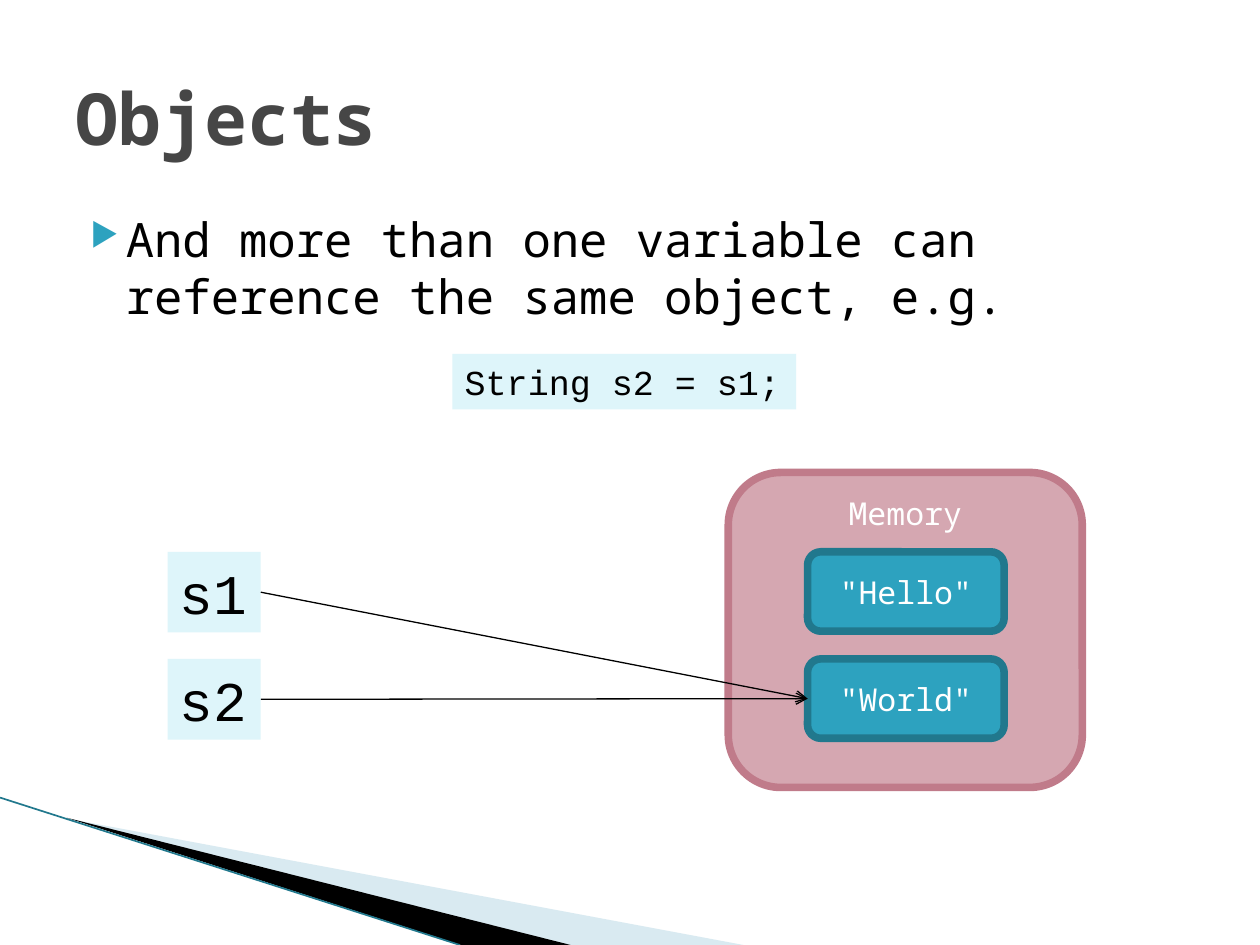
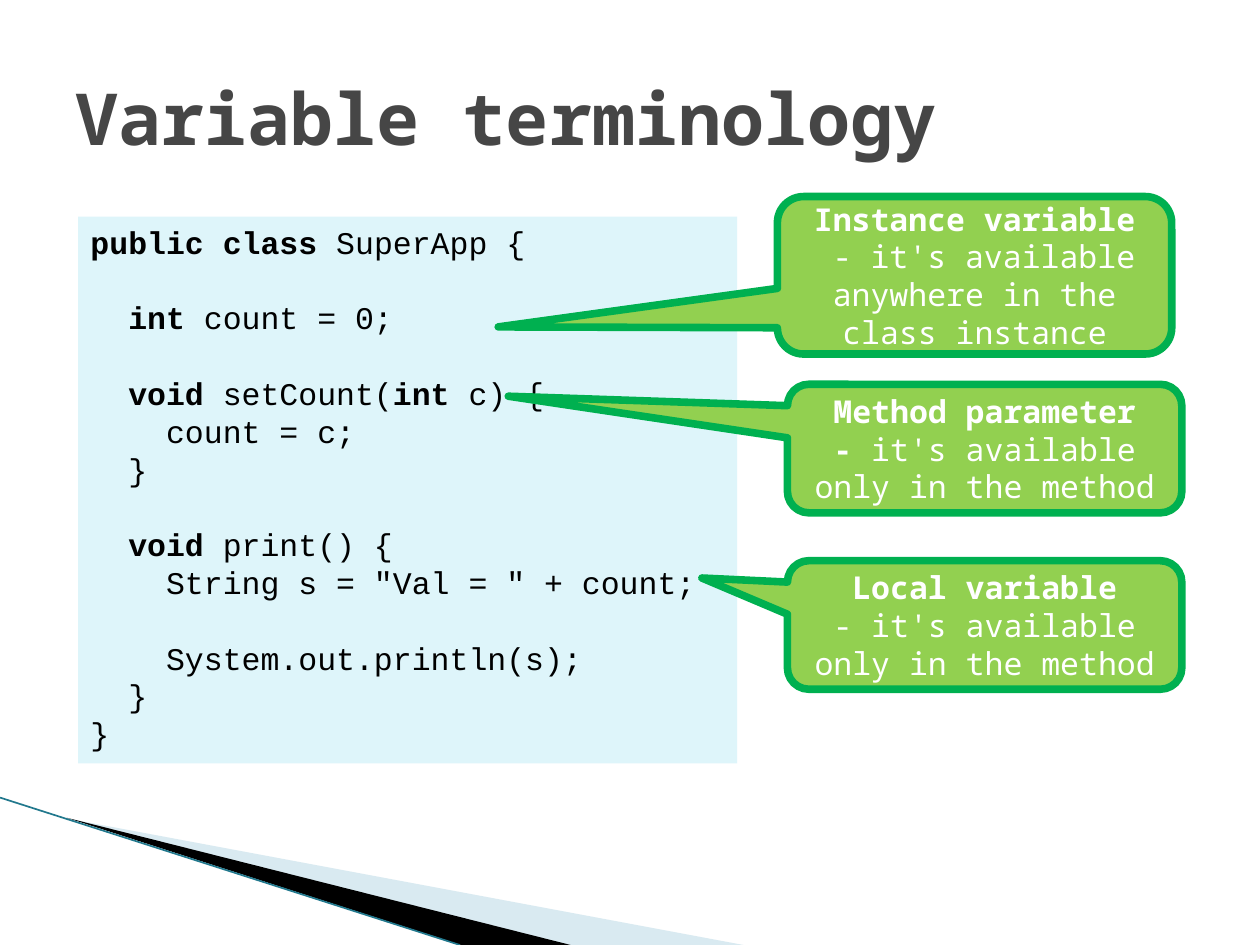
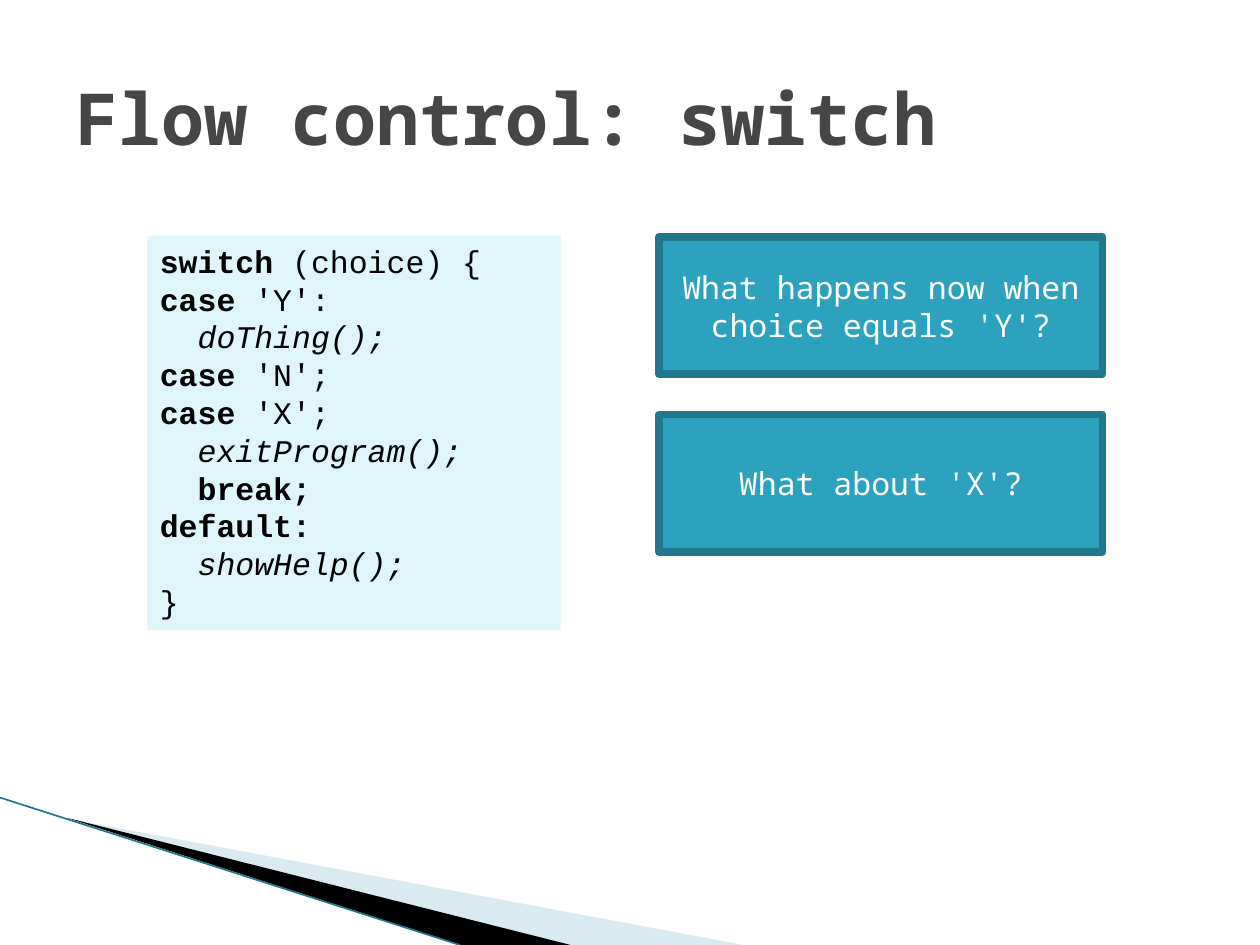
import pptx
import pptx.dml.color
import pptx.enum.shapes
import pptx.enum.text
import pptx.oxml
import pptx.oxml.ns
import pptx.util
from pptx.util import Inches

SHAPES = pptx.enum.shapes.MSO_SHAPE
ANCHOR = pptx.enum.text.MSO_ANCHOR
ALIGN = pptx.enum.text.PP_ALIGN
AUTO_SIZE = pptx.enum.text.MSO_AUTO_SIZE

CODE_FONT = "Courier New"
TEXT_FONT = "Noto Sans Mono"
BLACK = "000000"
WHITE = "FFFFFF"
TITLE_GRAY = "464646"
TEAL = "2DA2BF"
DARK_TEAL = "21788D"
CODE_BLUE = "DEF5FA"
BAND_BLUE = "A0CBDC"
PINK = "D5A7B1"
DARK_PINK = "C07B8A"
LIME = "92D050"
GREEN = "00B050"
BORDER = 4.33

SUPER_APP = """*public class *SuperApp {

  *int* count = 0;

  *void *setCount(*int* c) {
    count = c;
  }

  *void* print() {
    String s = "Val = " + count;
    
    System.out.println(s);
  }
}"""

SWITCH = """*switch *(choice) {
*case* 'Y':
  ~doThing();~
*case* 'N';
*case *'X';
  ~exitProgram();~
  *break;*
*default:*
  ~showHelp();~
}"""


def rgb(value):
    return pptx.dml.color.RGBColor.from_string(value)


def add_xml(parent, tag, **attributes):
    child = parent.makeelement(pptx.oxml.ns.qn(tag), attributes)
    parent.append(child)
    return child


def style_font(paragraph, name, size, color, bold=None):
    font = paragraph.font
    font.name = name
    font.size = pptx.util.Pt(size)
    font.color.rgb = rgb(color)
    font.bold = bold


def add_marked_runs(paragraph, marked):
    """Asterisks enclose bold text, tildes enclose italic text."""
    for bold_index, bold_part in enumerate(marked.split("*")):
        for italic_index, part in enumerate(bold_part.split("~")):
            for line_index, line in enumerate(part.split("\n")):
                if line_index:
                    paragraph.add_line_break()
                if line:
                    run = paragraph.add_run()
                    run.text = line
                    if bold_index % 2:
                        run.font.bold = True
                    if italic_index % 2:
                        run.font.italic = True


def style_shape(shape, fill, border=None):
    shape.shadow.inherit = False
    shape.fill.solid()
    shape.fill.fore_color.rgb = rgb(fill)
    if border:
        shape.line.color.rgb = rgb(border)
        shape.line.width = pptx.util.Pt(BORDER)
    else:
        shape.line.fill.background()


def add_block(slide, preset, box, fill, border=None):
    block = slide.shapes.add_shape(preset, *map(Inches, box))
    style_shape(block, fill, border)
    return block


def add_label(slide, preset, box, marked, fill=TEAL, border=DARK_TEAL, anchor=ANCHOR.MIDDLE):
    label = add_block(slide, preset, box, fill, border)
    label.text_frame.vertical_anchor = anchor
    paragraph = label.text_frame.paragraphs[0]
    add_marked_runs(paragraph, marked)
    paragraph.alignment = ALIGN.CENTER
    style_font(paragraph, TEXT_FONT, 18, WHITE)
    return label


def add_callout(slide, box, marked, tip):
    callout = add_label(slide, SHAPES.ROUNDED_RECTANGULAR_CALLOUT, box, marked, LIME, GREEN)
    callout.adjustments[0], callout.adjustments[1] = tip


def add_code(slide, box, code, size=18, wrap=True):
    panel = add_block(slide, SHAPES.RECTANGLE, box, CODE_BLUE)
    frame = panel.text_frame
    frame.word_wrap = wrap
    frame.auto_size = AUTO_SIZE.SHAPE_TO_FIT_TEXT
    frame.vertical_anchor = ANCHOR.TOP
    for index, line in enumerate(code.split("\n")):
        paragraph = frame.add_paragraph() if index else frame.paragraphs[0]
        add_marked_runs(paragraph, line)
        paragraph.alignment = ALIGN.LEFT
        style_font(paragraph, CODE_FONT, size, BLACK)
    return panel


def add_bullet(slide, box, text):
    frame = slide.shapes.add_textbox(*map(Inches, box)).text_frame
    frame.word_wrap = True
    paragraph = frame.paragraphs[0]
    paragraph.text = text
    properties = paragraph._p.get_or_add_pPr()
    properties.set("marL", str(Inches(0.4)))
    properties.set("indent", str(Inches(-0.28)))
    bullet_color = add_xml(properties, "a:buClr")
    add_xml(bullet_color, "a:srgbClr", val=TEAL)
    add_xml(properties, "a:buSzPct", val="68000")
    add_xml(properties, "a:buChar", char="▶")
    style_font(paragraph, TEXT_FONT, 27, BLACK)


def add_line(slide, start, end, color, width):
    line = slide.shapes.add_connector(
        pptx.enum.shapes.MSO_CONNECTOR.STRAIGHT, *map(Inches, start + end)
    )
    line.line.color.rgb = rgb(color)
    line.line.width = pptx.util.Pt(width)
    add_xml(line._element.spPr, "a:effectLst")
    return line


def add_reference(slide, variable, target):
    arrow = add_line(slide, (0, 0), (1, 1), BLACK, 0.75)
    arrow.begin_connect(variable, 3)
    arrow.end_connect(target, 1)
    add_xml(arrow.line._get_or_add_ln(), "a:tailEnd", type="arrow")


def add_band(slide, points, fill):
    corners = [(Inches(x), Inches(y)) for x, y in points]
    builder = slide.shapes.build_freeform(*corners[0])
    builder.add_line_segments(corners[1:], close=True)
    band = builder.convert_to_shape()
    style_shape(band, fill)
    return band


def add_bands(slide):
    light = add_band(slide, [(0.55, 6.5), (5.9, 7.5), (4.52, 7.5)], BAND_BLUE)
    light_color = light._element.spPr.find(".//" + pptx.oxml.ns.qn("a:srgbClr"))
    add_xml(light_color, "a:alpha", val="40000")
    add_band(slide, [(0.53, 6.49), (4.53, 7.5), (3.66, 7.5)], BLACK)
    add_line(slide, (0, 6.33), (3.65, 7.5), DARK_TEAL, 0.95)


def add_titled_slide(presentation, text):
    slide = presentation.slides.add_slide(presentation.slide_layouts[5])
    add_bands(slide)
    title = slide.shapes.title
    title.left, title.top, title.width, title.height = map(Inches, (0.5, 0.3, 9, 1.25))
    title.text_frame.text = text
    title.text_frame.auto_size = AUTO_SIZE.NONE
    title.text_frame.vertical_anchor = ANCHOR.MIDDLE
    paragraph = title.text_frame.paragraphs[0]
    paragraph.alignment = ALIGN.LEFT
    style_font(paragraph, TEXT_FONT, 41, TITLE_GRAY, True)
    return slide


def build_objects(presentation):
    slide = add_titled_slide(presentation, "Objects")
    add_label(slide, SHAPES.ROUNDED_RECTANGLE, (5.78, 3.75, 2.81, 2.5), "Memory",
              PINK, DARK_PINK, ANCHOR.TOP)
    add_bullet(slide, (0.5, 1.62, 9, 1.1),
               "And more than one variable can reference the same object, e.g.")
    add_code(slide, (3.59, 2.81, 2.73, 0.44), "String s2 = s1;", 20, False)
    variables, strings = [], []
    for top, name, value in ((4.38, "s1", '"Hello"'), (5.23, "s2", '"World"')):
        variables.append(add_code(slide, (1.33, top, 0.74, 0.64), name, 32, False))
        strings.append(add_label(slide, SHAPES.ROUNDED_RECTANGLE,
                                 (6.41, top, 1.56, 0.63), value))
    for variable in variables:
        add_reference(slide, variable, strings[1])


def build_terminology(presentation):
    slide = add_titled_slide(presentation, "Variable terminology")
    add_code(slide, (0.62, 1.72, 5.23, 4.34), SUPER_APP)
    add_callout(slide, (6.17, 1.56, 3.13, 1.25),
                "*Instance variable\n *- it's available anywhere in the class instance",
                (-1.208, 0.328))
    add_callout(slide, (6.25, 3.05, 3.13, 1.02),
                "*Method parameter\n- *it's available only in the method",
                (-1.208, -0.407))
    add_callout(slide, (6.25, 4.45, 3.13, 1.02),
                "*Local variable\n*- it's available only in the method",
                (-0.717, -0.365))


def build_switch(presentation):
    slide = add_titled_slide(presentation, "Flow control: switch")
    add_code(slide, (1.17, 1.87, 3.28, 3.13), SWITCH)
    questions = ("What happens now when choice equals 'Y'?", "What about 'X'?")
    for index, question in enumerate(questions):
        add_label(slide, SHAPES.RECTANGLE, (5.23, 1.88 + 1.41 * index, 3.52, 1.09), question)


def main():
    presentation = pptx.Presentation()
    presentation.slide_width = Inches(10)
    presentation.slide_height = Inches(7.5)
    build_objects(presentation)
    build_terminology(presentation)
    build_switch(presentation)
    presentation.save("out.pptx")


if __name__ == "__main__":
    main()
